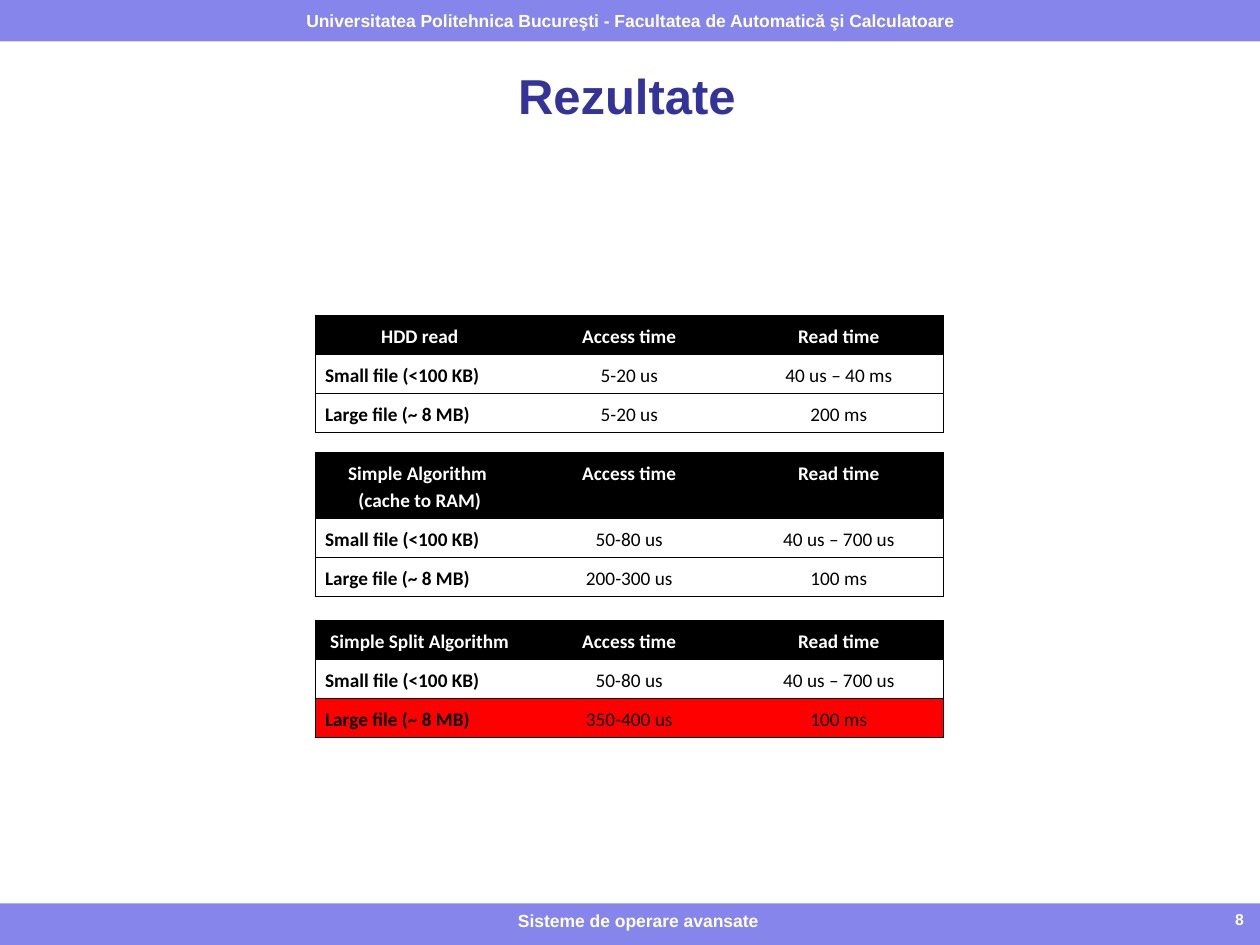
from dataclasses import dataclass

from lxml.etree import SubElement
from pptx import Presentation
from pptx.dml.color import RGBColor
from pptx.enum.shapes import MSO_SHAPE as Shape
from pptx.enum.text import MSO_ANCHOR as Anchor, PP_ALIGN as Align
from pptx.oxml.ns import qn
from pptx.util import Inches, Pt


@dataclass(frozen=True)
class Theme:
    """Colours, fonts and type sizes of the slide."""

    bar: str = "8585EB"
    title: str = "333399"
    light: str = "FFFFFF"
    dark: str = "000000"
    highlight: str = "FF0000"
    font: str = "Arial"
    table_font: str = "Calibri"
    title_size: float = 28
    bar_size: float = 10
    number_size: float = 9
    table_size: float = 11
    border_width: float = 0.45


THEME = Theme()
COLUMNS = ("Access time", "Read time")
SMALL, LARGE = "Small file (<100 KB)", "Large file (~ 8 MB)"
TABLES = (
    (2.5, "HDD read", ("5-20 us", "40 us – 40 ms"), ("5-20 us", "200 ms"), None),
    (3.59, "Simple Algorithm \n(cache to RAM)", ("50-80 us", "40 us – 700 us"),
     ("200-300 us", "100 ms"), None),
    (4.92, "Simple Split Algorithm", ("50-80 us", "40 us – 700 us"),
     ("350-400 us", "100 ms"), THEME.highlight),
)


def write_text(frame, text, *, size, color=THEME.light, font=THEME.font, bold=True,
               align=Align.CENTER, spacing=None):
    """Write text into a frame, one paragraph per line."""
    frame.text = text
    for paragraph in frame.paragraphs:
        paragraph.alignment = align
        paragraph.line_spacing = spacing
        for run in paragraph.runs:
            run.font.name = font
            run.font.size = Pt(size)
            run.font.bold = bold
            run.font.color.rgb = RGBColor.from_string(color)


def add_bar(slide, left, top, width, height):
    """Add a plain coloured bar."""
    bar = slide.shapes.add_shape(
        Shape.RECTANGLE, Inches(left), Inches(top), Inches(width), Inches(height))
    bar.shadow.inherit = False
    bar.fill.solid()
    bar.fill.fore_color.rgb = RGBColor.from_string(THEME.bar)
    bar.line.fill.background()
    return bar


def add_label(slide, left, top, width, height, text, anchor=Anchor.TOP, **text_format):
    """Add a wrapped text box."""
    label = slide.shapes.add_textbox(
        Inches(left), Inches(top), Inches(width), Inches(height))
    label.text_frame.word_wrap = True
    label.text_frame.vertical_anchor = anchor
    write_text(label.text_frame, text, **text_format)


def add_header(slide, left, top, width, height):
    """Add the top bar with the name of the faculty."""
    frame = add_bar(slide, left, top, width, height).text_frame
    frame.word_wrap = False
    frame.vertical_anchor = Anchor.MIDDLE
    write_text(
        frame, "Universitatea Politehnica Bucureşti - Facultatea de Automatică şi Calculatoare",
        size=THEME.bar_size)


def add_footer(slide, left, top, width, height):
    """Add the bottom bar with the course name and the page number."""
    add_bar(slide, left, top, width, height)
    add_label(slide, left + 2.58, top, 4.97, 0.3, "Sisteme de operare avansate",
              size=THEME.bar_size)
    add_label(slide, left + 7.67, top, 2.3, 0.3, "8", size=THEME.number_size,
              align=Align.RIGHT)


def set_borders(cell, visible):
    """Draw the visible edges of a cell and clear the others."""
    properties = cell._tc.get_or_add_tcPr()
    for index, edge in enumerate("LRTB"):
        line = SubElement(properties, qn(f"a:ln{edge}"), w=str(Pt(THEME.border_width)))
        if edge in visible:
            fill = SubElement(line, qn("a:solidFill"))
            SubElement(fill, qn("a:srgbClr"), val=THEME.dark)
        else:
            SubElement(line, qn("a:noFill"))
        properties.insert(index, line)


def fill_cell(cell, color):
    """Fill a cell with a colour, or leave it clear."""
    if color is None:
        cell.fill.background()
    else:
        cell.fill.solid()
        cell.fill.fore_color.rgb = RGBColor.from_string(color)


def add_results(slide, left, top, width, row_height, name, small, large, last_fill):
    """Add a table of access and read times for one way of reading."""
    rows = ((name, *COLUMNS), (SMALL, *small), (LARGE, *large))
    fills = (THEME.dark, None, last_fill)
    heights = (row_height * len(name.split("\n")), row_height, row_height)
    table = slide.shapes.add_table(
        3, 3, Inches(left), Inches(top), Inches(width), Inches(sum(heights))).table
    table.first_row = table.horz_banding = False
    for row_index, values in enumerate(rows):
        table.rows[row_index].height = Inches(heights[row_index])
        is_header = row_index == 0
        for column_index, value in enumerate(values):
            cell = table.cell(row_index, column_index)
            is_name = column_index == 0
            cell.margin_left = cell.margin_right = Inches(0.08)
            fill_cell(cell, fills[row_index])
            set_borders(cell, ("LTB", "TB", "RTB")[column_index])
            write_text(
                cell.text_frame, value, size=THEME.table_size, font=THEME.table_font,
                color=THEME.light if is_header else THEME.dark,
                bold=is_header or is_name, spacing=1.15,
                align=Align.JUSTIFY if is_name and not is_header else Align.CENTER)


def main():
    """Build the slide and save it."""
    presentation = Presentation()
    presentation.slide_width, presentation.slide_height = Inches(10), Inches(7.5)
    slide = presentation.slides.add_slide(presentation.slide_layouts[6])
    add_header(slide, 0, 0, 10, 0.33)
    add_footer(slide, 0, 7.17, 10, 0.33)
    add_label(slide, 0.42, 0.45, 9.11, 0.6, "Rezultate", anchor=Anchor.MIDDLE,
              size=THEME.title_size, color=THEME.title)
    for top, *content in TABLES:
        add_results(slide, 2.5, top, 4.99, 0.22, *content)
    presentation.save("out.pptx")


if __name__ == "__main__":
    main()
